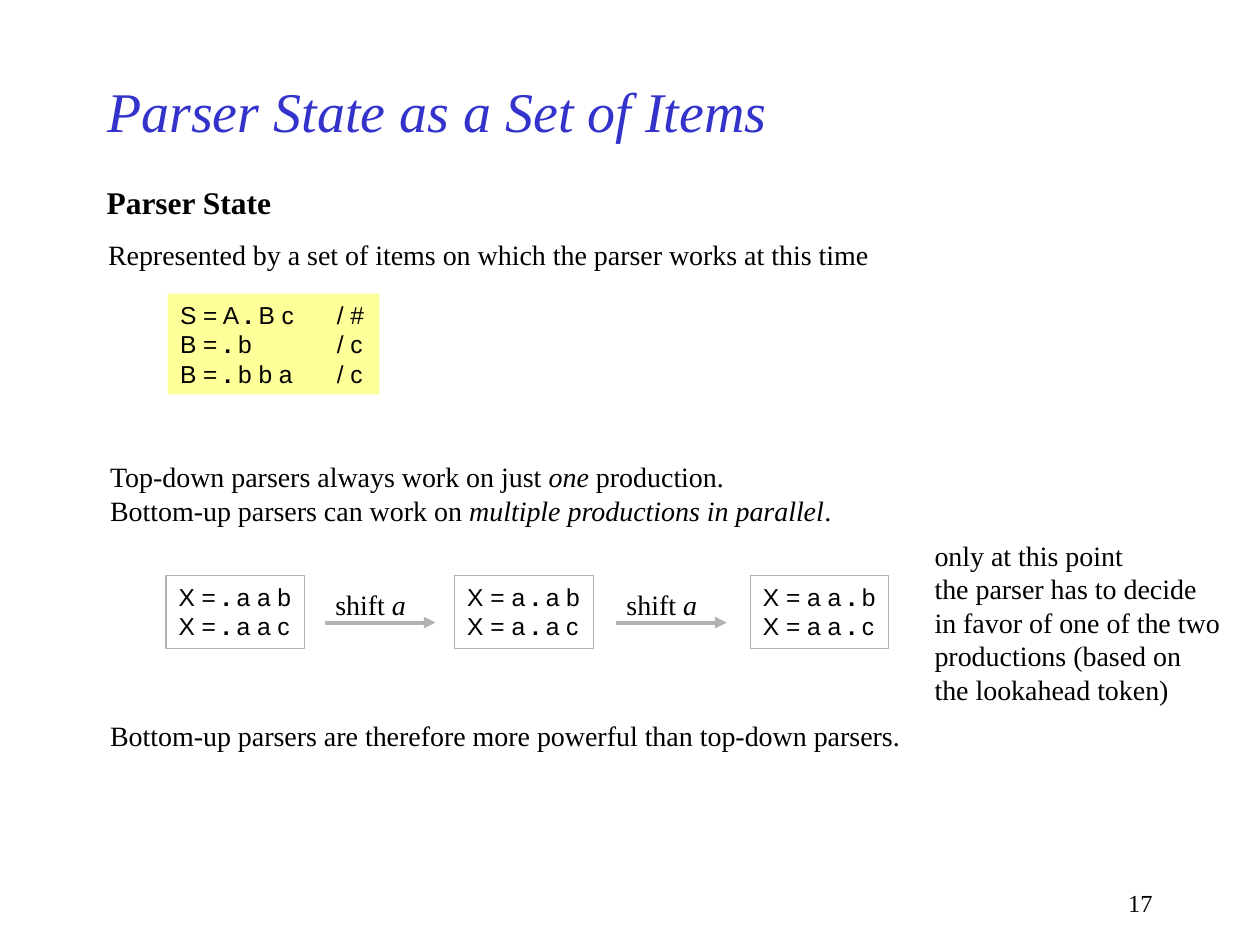
from lxml import etree
from pptx import Presentation
from pptx.dml.color import RGBColor
from pptx.enum.shapes import MSO_CONNECTOR, MSO_SHAPE
from pptx.enum.text import MSO_ANCHOR, MSO_AUTO_SIZE, PP_ALIGN
from pptx.oxml.ns import qn
from pptx.util import Cm, Pt

RECTANGLE = MSO_SHAPE.RECTANGLE
STRAIGHT = MSO_CONNECTOR.STRAIGHT
TOP, MIDDLE = MSO_ANCHOR.TOP, MSO_ANCHOR.MIDDLE
LEFT, RIGHT = PP_ALIGN.LEFT, PP_ALIGN.RIGHT
FIT_SHAPE, FIT_NONE = MSO_AUTO_SIZE.SHAPE_TO_FIT_TEXT, MSO_AUTO_SIZE.NONE

COLORS = {"text": "000000", "title": "3333CC", "items": "FFFF99", "line": "B2B2B2"}
SERIF, SANS = "Times New Roman", "Arial"


def color(name):
    return RGBColor.from_string(COLORS[name])


def write(shape, lines, size=16, font=SERIF, ink="text", bold=False, italic=False,
          emphasis="italic", align=LEFT, anchor=TOP, wrap=False, tab=None):
    """Fill a shape with lines; parts between | signs are emphasised."""
    frame = shape.text_frame
    frame.word_wrap = wrap
    frame.auto_size = FIT_NONE if wrap else FIT_SHAPE
    frame.vertical_anchor = anchor
    frame.margin_left = frame.margin_right = Cm(0.25)
    frame.margin_top = frame.margin_bottom = Cm(0.13)
    for number, line in enumerate(lines):
        paragraph = frame.add_paragraph() if number else frame.paragraphs[0]
        paragraph.alignment = align
        if tab:
            tabs = etree.SubElement(paragraph._p.get_or_add_pPr(), qn("a:tabLst"))
            etree.SubElement(tabs, qn("a:tab"), pos=str(tab), algn="l")
        for part, text in enumerate(line.split("|")):
            run = paragraph.add_run()
            run.text = text
            run.font.name, run.font.size = font, Pt(size)
            run.font.color.rgb = color(ink)
            emphasised = part % 2 == 1
            run.font.bold = bold or (emphasised and emphasis == "bold")
            run.font.italic = italic or (emphasised and emphasis == "italic")


class SlideBuilder:
    def __init__(self, slide):
        self.slide = slide

    def title(self, text, left, top, width, height):
        shape = self.slide.shapes.title
        shape.left, shape.top = Cm(left), Cm(top)
        shape.width, shape.height = Cm(width), Cm(height)
        write(shape, [text], size=32, ink="title", italic=True, anchor=MIDDLE, wrap=True)

    def text(self, lines, left, top, width, height, **style):
        shape = self.slide.shapes.add_textbox(Cm(left), Cm(top), Cm(width), Cm(height))
        write(shape, lines, **style)

    def item_box(self, lines, left, top, width, height, fill=None, line=None, tab=None):
        shape = self.slide.shapes.add_shape(
            RECTANGLE, Cm(left), Cm(top), Cm(width), Cm(height))
        shape.shadow.inherit = False
        if fill:
            shape.fill.solid()
            shape.fill.fore_color.rgb = color(fill)
        else:
            shape.fill.background()
        if line:
            shape.line.color.rgb = color(line)
            shape.line.width = Pt(0.75)
        else:
            shape.line.fill.background()
        write(shape, lines, size=14, font=SANS, emphasis="bold", tab=tab)

    def arrow(self, left, top, length):
        connector = self.slide.shapes.add_connector(
            STRAIGHT, Cm(left), Cm(top), Cm(left + length), Cm(top))
        connector.line.color.rgb = color("line")
        connector.line.width = Pt(2.25)
        etree.SubElement(connector.line._get_or_add_ln(), qn("a:tailEnd"), type="triangle")
        etree.SubElement(connector._element.spPr, qn("a:effectLst"))


def main():
    presentation = Presentation()
    presentation.slide_width, presentation.slide_height = Cm(25.4), Cm(19.05)
    title_only = presentation.slide_layouts[5]
    builder = SlideBuilder(presentation.slides.add_slide(title_only))

    # Title and page number
    builder.title("Parser State as a Set of Items", 1.91, 1.27, 19.05, 1.9)
    builder.text(["17"], 18.21, 17.78, 5.28, 0.84, size=14, align=RIGHT, wrap=True)

    # Parser state and its items
    builder.text(["Parser State"], 1.9, 3.56, 3.84, 1.02, size=18, bold=True)
    builder.text(["Represented by a set of items on which the parser works at this time"],
                 1.93, 4.65, 15.93, 0.94)
    builder.item_box(["S = A |.| B c\t/ #", "B = |.| b\t/ c", "B = |.| b b a\t/ c"],
                     3.38, 5.92, 4.27, 2.03, fill="items", tab=Cm(3.16))

    # Top-down against bottom-up
    builder.text(["Top-down parsers always work on just |one| production.",
                  "Bottom-up parsers can work on |multiple productions in parallel|."],
                 1.97, 9.14, 15.27, 1.63)

    # Items after zero, one and two shifts
    for shifts, left in enumerate([3.35, 9.17, 15.13]):
        lines = ["X = " + "a " * shifts + "|.|" + " a" * (2 - shifts) + " " + last
                 for last in "bc"]
        builder.item_box(lines, left, 11.6, 2.79, 1.47, line="line")
    for left in [6.55, 12.42]:
        builder.arrow(left, 12.55, 2.23)
        builder.text(["shift |a|"], left - 0.04, 11.71, 1.93, 0.94)

    # Remark and conclusion
    builder.text(["only at this point", "the parser has to decide",
                  "in favor of one of the two", "productions (based on",
                  "the lookahead token)"], 18.59, 10.72, 6.27, 3.66)
    builder.text(["Bottom-up parsers are therefore more powerful than top-down parsers."],
                 1.97, 14.35, 16.66, 0.94)

    presentation.save("out.pptx")


if __name__ == "__main__":
    main()
